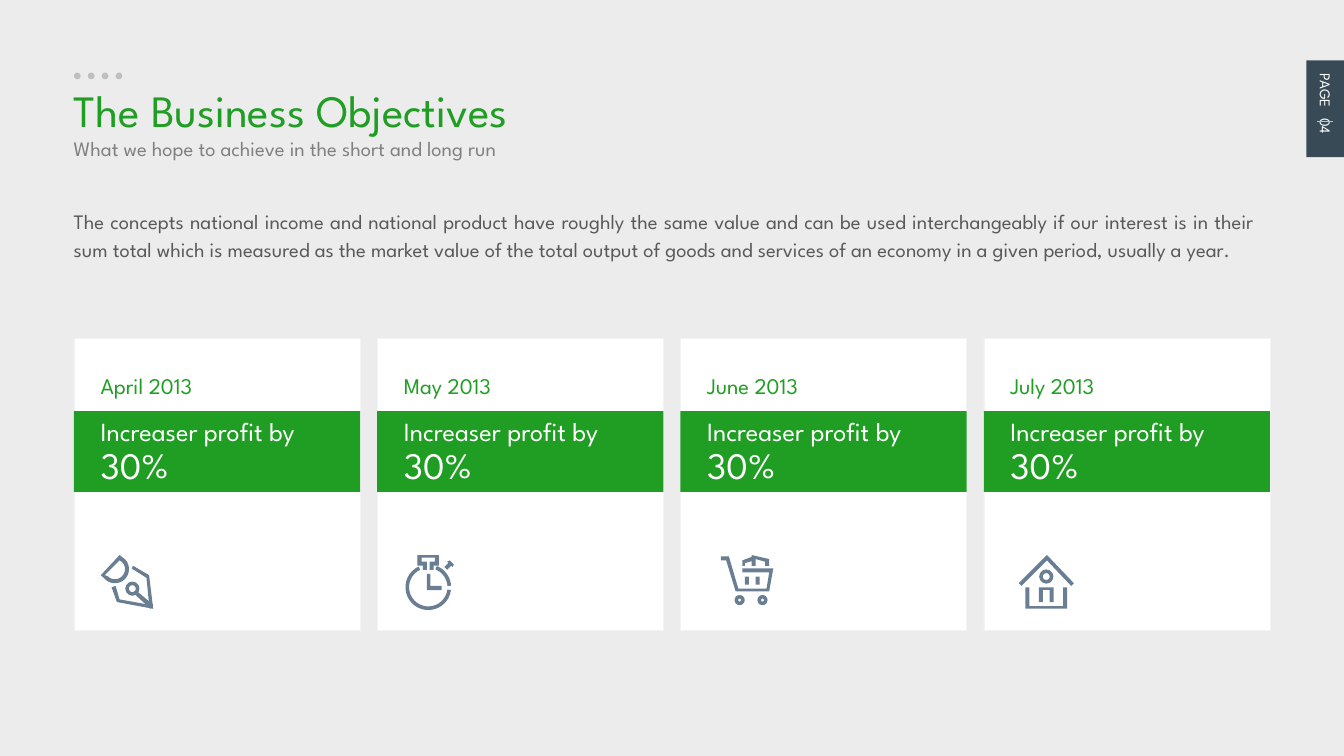
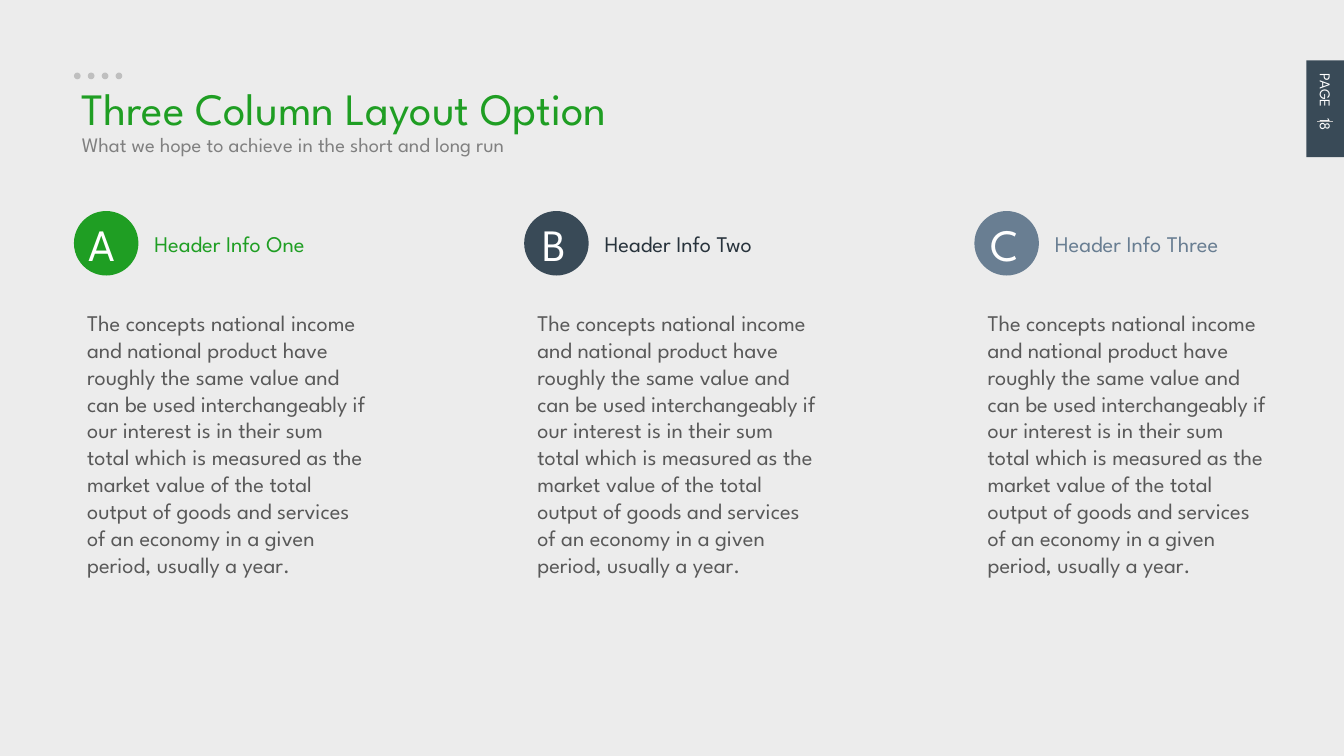
from math import cos, radians, sin

from lxml.etree import SubElement
from pptx import Presentation
from pptx.dml.color import RGBColor
from pptx.enum.shapes import MSO_CONNECTOR, MSO_SHAPE
from pptx.enum.text import MSO_AUTO_SIZE, PP_ALIGN
from pptx.oxml.ns import qn
from pptx.util import Inches, Pt

FONT = "League Spartan"
GREEN, NAVY, SLATE, WHITE = "1F9E23", "394A57", "697E92", "FFFFFF"
INK, TEXT, GREY, SILVER, PAPER = "28333C", "595959", "808080", "BFBFBF", "ECECEC"
SUBTITLE = "What we hope to achieve in the short and long run"
CONCEPTS = (
    "The concepts national income and national product have roughly the same value "
    "and can be used interchangeably if our interest is in their sum total which is "
    "measured as the market value of the total output of goods and services of an "
    "economy in a given period, usually a year."
)


def paint(sp, color, border=None):
    sp.shadow.inherit = False
    sp.fill.solid()
    sp.fill.fore_color.rgb = RGBColor.from_string(color)
    if border:
        sp.line.color.rgb = RGBColor.from_string(border)
        sp.line.width = Pt(0.25)
    else:
        sp.line.fill.background()
    return sp


def add_text(s, text, x, y, w, h, size, color, wrap=False, tab=None):
    sp = s.shapes.add_textbox(Inches(x), Inches(y), Inches(w), Inches(h))
    tf = sp.text_frame
    tf.word_wrap = wrap
    tf.auto_size = MSO_AUTO_SIZE.SHAPE_TO_FIT_TEXT
    p = tf.paragraphs[0]
    p.text = text
    if tab:
        tabs = SubElement(p._p.get_or_add_pPr(), qn("a:tabLst"))
        SubElement(tabs, qn("a:tab"), pos=str(Inches(tab)), algn="l")
    p.font.name = FONT
    p.font.size = Pt(size)
    p.font.color.rgb = RGBColor.from_string(color)
    return sp


prs = Presentation()
prs.slide_width = Inches(10)
prs.slide_height = Inches(10 * 9 / 16)

pages = [
    ("The Business Objectives", "04", 0.45, 0.57, 0.96, 3.98),
    ("Three Column Layout Option", "18", 0.51, 0.55, 0.93, 4.89),
]
for title, number, x, title_y, subtitle_y, title_w in pages:
    s = prs.slides.add_slide(prs.slide_layouts[6])
    s.background.fill.solid()
    s.background.fill.fore_color.rgb = RGBColor.from_string(PAPER)
    for i in range(4):
        paint(s.shapes.add_shape(
            MSO_SHAPE.OVAL, Inches(0.55 + 0.31 * i / 3), Inches(0.54),
            Inches(0.05), Inches(0.05)), SILVER)
    add_text(s, title, x, title_y, title_w, 0.5, 24, GREEN)
    add_text(s, SUBTITLE, x, subtitle_y, 4.02, 0.29, 11, GREY)
    paint(s.shapes.add_shape(
        MSO_SHAPE.RECTANGLE, Inches(9.72), Inches(0.45), Inches(0.28), Inches(0.72)), NAVY)
    sp = add_text(s, f"PAGE\t{number}", 9.5, 0.69, 0.72, 0.24, 8, WHITE, True, 0.33)
    sp.rotation = 90
    for color in (INK, SILVER):
        line = s.shapes.add_connector(
            MSO_CONNECTOR.STRAIGHT, Inches(9.8), Inches(0.9), Inches(9.92), Inches(0.9))
        line.line.color.rgb = RGBColor.from_string(color)
        line.line.width = Pt(0.25)
        SubElement(line._element.spPr, qn("a:effectLst"))

objectives, columns = prs.slides

sp = add_text(objectives, CONCEPTS, 0.45, 1.48, 8.99, 0.72, 11, TEXT, True)
p = sp.text_frame.paragraphs[0]
p.alignment = PP_ALIGN.JUSTIFY
p.line_spacing = 1.14

arcs = {}
for name, cx, cy, radius, start, end in [
    ("nib outer", 30.5, 10.5, 10.5, -45, 135),
    ("nib inner", 30.5, 10.5, 7.5, 135, -45),
    ("dial outer", 38, 24, 17, 7, 245),
    ("dial inner", 38, 24, 14.3, 245, 7),
    ("gap outer", 38, 24, 17, 292, 356),
    ("gap inner", 38, 24, 14.3, 356, 292),
]:
    angles = [radians(start + (end - start) * i / 24) for i in range(25)]
    arcs[name] = [(cx + radius * cos(a), cy + radius * sin(a)) for a in angles]

pen = [
    [[(57, 40), (59, 37), (47, 27), (45, 29)]],
    [[(34, 0)] + arcs["nib outer"] + [(20, 15)],
     [(23, 15)] + arcs["nib inner"] + [(34, 4)]],
    [[(59, 40), (56, 15), (44, 8), (43, 10), (54, 17), (56, 37), (34, 33), (31, 23),
      (28, 24), (32, 35)]],
]
stopwatch = [
    [arcs["dial outer"] + arcs["dial inner"]],
    [arcs["gap outer"] + arcs["gap inner"]],
    [[(42, 11), (39, 11), (39, 5), (43, 5), (43, 2), (33, 2), (33, 5), (37, 5), (37, 11),
      (34, 11), (34, 8), (30, 8), (30, 0), (46, 0), (46, 8), (42, 8)]],
    [[(52, 11), (50, 9), (54, 5), (56, 7)]],
    [[(56, 9), (52, 5), (54, 4), (57, 7)]],
    [[(48, 26), (37, 26), (37, 14), (39.5, 14), (39.5, 23), (48, 23)]],
]
cart = [
    [[(66, 27), (41, 27), (34, 4), (30, 4), (30, 1), (36, 1), (43, 25), (64, 25),
      (66, 13), (46, 13), (46, 10), (69, 10)]],
    [[(48, 8), (46, 8), (46, 4), (54, 1), (55, 4), (48, 6)]],
    [[(66, 8), (63, 8), (63, 5), (56, 3), (56, 8), (53, 8), (53, 0), (66, 3)]],
]
house = [
    [[(62, 40), (31, 40), (31, 24), (34, 24), (34, 38), (59, 38), (59, 24), (62, 24)]],
    [[(65, 23), (47, 4), (28, 23), (26, 21), (47, 0), (67, 21)]],
    [[(52, 35), (49, 35), (49, 26), (44, 26), (44, 35), (41, 35), (41, 24), (52, 24)]],
]
cards = [
    ("April 2013", pen, [(43.5, 25, 5.3)], []),
    ("May 2013", stopwatch, [], []),
    ("June 2013", cart, [(44, 33.5, 3.8), (61, 33.5, 3.8)], [48, 56]),
    ("July 2013", house, [(46.5, 16, 5.3)], []),
]
ICON_Y = 4.13
for i, (month, outlines, rings, bars) in enumerate(cards):
    x = 0.55 + 6.77 * i / 3
    paint(objectives.shapes.add_shape(
        MSO_SHAPE.RECTANGLE, Inches(x), Inches(2.52), Inches(2.13), Inches(2.17)),
        WHITE, "F3F3F3")
    add_text(objectives, month, x + 0.1, 2.72, 0.98, 0.3, 12, GREEN)
    paint(objectives.shapes.add_shape(
        MSO_SHAPE.RECTANGLE, Inches(x), Inches(3.06), Inches(2.13), Inches(0.6)), GREEN)
    add_text(objectives, "Increaser profit by", x + 0.1, 3.04, 1.91, 0.34, 14, WHITE)
    add_text(objectives, "30%", x + 0.1, 3.24, 0.73, 0.44, 20, WHITE)
    for outline in outlines:
        contours = [[(Inches(x + px / 100), Inches(ICON_Y + py / 100)) for px, py in contour]
                    for contour in outline]
        builder = objectives.shapes.build_freeform(*contours[0][0])
        builder.add_line_segments(contours[0][1:])
        for contour in contours[1:]:
            builder.move_to(*contour[0])
            builder.add_line_segments(contour[1:])
        paint(builder.convert_to_shape(), SLATE)
    for cx, cy, radius in rings:
        sp = objectives.shapes.add_shape(
            MSO_SHAPE.DONUT, Inches(x + (cx - radius) / 100),
            Inches(ICON_Y + (cy - radius) / 100),
            Inches(radius / 50), Inches(radius / 50))
        sp.adjustments[0] = 1.35 / radius
        paint(sp, SLATE)
    for bar in bars:
        paint(objectives.shapes.add_shape(
            MSO_SHAPE.RECTANGLE, Inches(x + bar / 100), Inches(4.29),
            Inches(0.03), Inches(0.06)), SLATE)

headers = [
    ("A", "Header Info One", GREEN, GREEN, 0.01, 0.45),
    ("B", "Header Info Two", NAVY, INK, 0.04, 0.39),
    ("C", "Header Info Three", SLATE, SLATE, 0.02, 0.48),
]
for i, (letter, header, disc, color, shift, letter_w) in enumerate(headers):
    x = 0.55 + 3.35 * i
    add_text(columns, header, x + 0.5, 1.66, 1.79, 0.3, 12, color, True)
    paint(columns.shapes.add_shape(
        MSO_SHAPE.OVAL, Inches(x), Inches(1.57), Inches(0.48), Inches(0.48)), disc)
    add_text(columns, letter, x + shift, 1.56, letter_w, 0.5, 24, WHITE)
    add_text(columns, CONCEPTS, x, 2.25, 2.28, 2.52, 12, TEXT, True)

prs.save("out.pptx")
